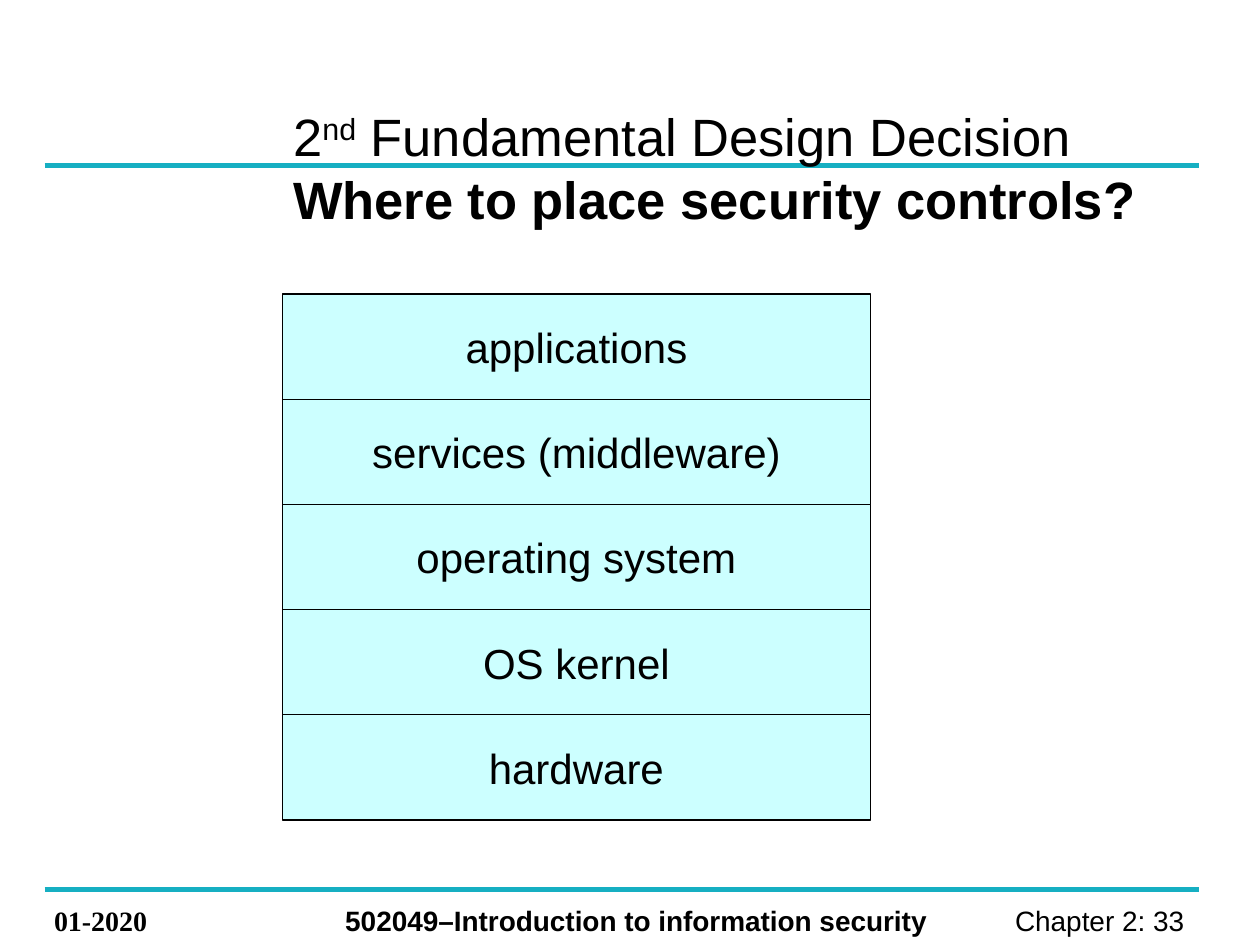
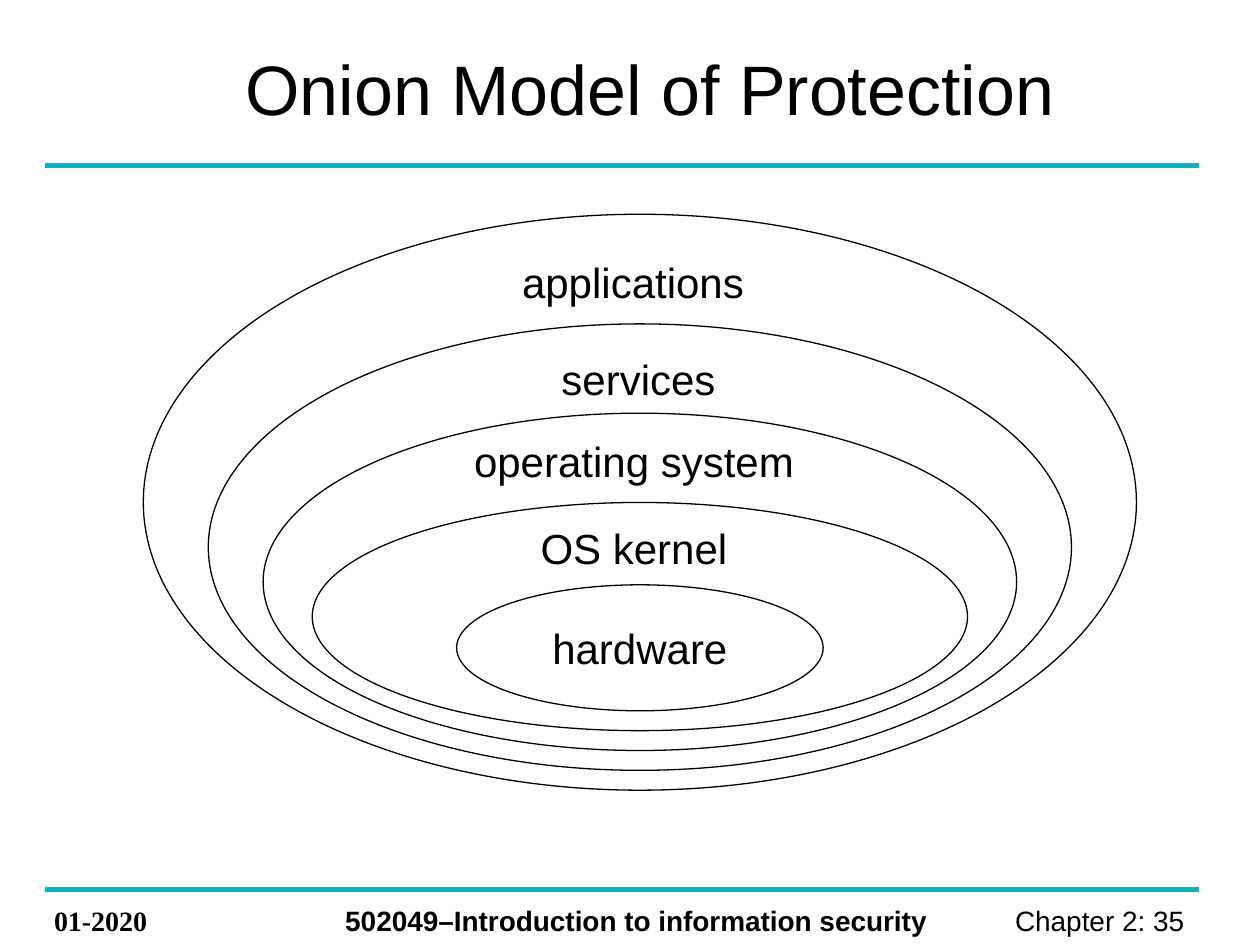
"""Build two slides on where security controls belong."""
from dataclasses import dataclass
from typing import Any

from lxml.etree import SubElement
from pptx import Presentation
from pptx.dml.color import RGBColor
from pptx.enum.shapes import MSO_CONNECTOR, MSO_SHAPE
from pptx.enum.text import MSO_ANCHOR, PP_ALIGN
from pptx.oxml.ns import qn
from pptx.util import Cm, Pt

BLACK = RGBColor(0x00, 0x00, 0x00)
TEAL = RGBColor(0x16, 0xAF, 0xC2)
AQUA = RGBColor(0xCC, 0xFF, 0xFF)

BASE = {"name": "Arial", "size": Pt(24), "bold": False}
FOOT = BASE | {"size": Pt(16)}
BOLD = FOOT | {"bold": True}
DATE = BOLD | {"name": "Times New Roman"}
HEAD = BASE | {"size": Pt(40)}
LEAD = BASE | {"size": Pt(30)}

LEFT, CENTER, RIGHT = PP_ALIGN.LEFT, PP_ALIGN.CENTER, PP_ALIGN.RIGHT
RULES = (3.33, 17.93)
MID = 12.9
BASIN = 15.93
STEP = 0.4


@dataclass(frozen=True)
class Box:
    """A place on the slide, in centimetres."""
    left: float
    top: float
    width: float
    height: float

    def spans(self) -> tuple[Cm, Cm, Cm, Cm]:
        """Return the place as lengths."""
        return Cm(self.left), Cm(self.top), Cm(self.width), Cm(self.height)


@dataclass(frozen=True)
class Ring:
    """An onion layer, with its label's centre and top in centimetres."""
    text: str
    width: float
    top: float
    label: tuple[float, float] | None = None


@dataclass(frozen=True)
class Note:
    """A line of footer text."""
    text: str
    box: Box
    style: dict[str, Any]
    align: PP_ALIGN = LEFT


FEET = (
    Note("01-2020", Box(0.84, 18.08, 3.38, 0.94), DATE),
    Note("502049–Introduction to information security",
         Box(6.71, 18.08, 12.8, 0.94), BOLD),
)
PAGE = Box(18.69, 18.08, 5.59, 0.94)
STACK = ("applications", "services (middleware)", "operating system",
         "OS kernel", "hardware")
BLOCK = Box(5.69, 5.93, 11.86, 2.12)
RINGS = (
    Ring("applications", 20.02, 4.32, (12.76, 5.05)),
    Ring("services", 17.4, 6.53, (12.87, 7.01)),
    Ring("operating system", 15.19, 8.33, (12.78, 8.66)),
    Ring("OS kernel", 13.21, 10.13, (12.78, 10.41)),
    Ring("hardware", 7.39, 11.79),
)


def add_run(para: Any, text: str, style: dict[str, Any]) -> Any:
    """Add a run with the given font values."""
    run = para.add_run()
    run.text = text
    for key, value in style.items():
        setattr(run.font, key, value)
    run.font.color.rgb = BLACK
    return run


def set_frame(frame: Any, align: PP_ALIGN, wrap: bool, anchor: MSO_ANCHOR) -> Any:
    """Set up a text frame and return its first paragraph."""
    for key, value in {"word_wrap": wrap, "vertical_anchor": anchor}.items():
        setattr(frame, key, value)
    para = frame.paragraphs[0]
    para.alignment = align
    return para


def add_text(shapes: Any, box: Box, align: PP_ALIGN = LEFT, wrap: bool = True,
             anchor: MSO_ANCHOR = MSO_ANCHOR.TOP) -> Any:
    """Add a text box and return its first paragraph."""
    frame = shapes.add_textbox(*box.spans()).text_frame
    return set_frame(frame, align, wrap, anchor)


def add_layer(shapes: Any, kind: MSO_SHAPE, box: Box, text: str = "",
              fill: RGBColor | None = None) -> None:
    """Add an outlined shape with centred text."""
    shape = shapes.add_shape(kind, *box.spans())
    shape.shadow.inherit = False
    shape.line.color.rgb = BLACK
    shape.line.width = Pt(0.75)
    if fill is None:
        shape.fill.background()
    else:
        shape.fill.solid()
        shape.fill.fore_color.rgb = fill
    if text:
        para = set_frame(shape.text_frame, CENTER, False, MSO_ANCHOR.MIDDLE)
        add_run(para, text, BASE)


def add_rule(shapes: Any, top: float) -> None:
    """Add a teal rule across the slide."""
    rule = shapes.add_connector(MSO_CONNECTOR.STRAIGHT,
                                Cm(0.9), Cm(top), Cm(24.18), Cm(top))
    rule.line.color.rgb = TEAL
    rule.line.width = Pt(3)
    SubElement(rule._element.spPr, qn("a:effectLst"))


def add_slide(deck: Any, page: int, box: Box) -> tuple[Any, Any]:
    """Add a framed slide and return its shapes and title paragraph."""
    shapes = deck.slides.add_slide(deck.slide_layouts[6]).shapes
    for top in RULES:
        add_rule(shapes, top)
    for note in (*FEET, Note(f"Chapter 2: {page} ", PAGE, FOOT, RIGHT)):
        add_run(add_text(shapes, note.box, note.align), note.text, note.style)
    return shapes, add_text(shapes, box, anchor=MSO_ANCHOR.MIDDLE)


def draw_stack(deck: Any) -> None:
    """Draw the layers as a stack of blocks."""
    shapes, title = add_slide(deck, 33, Box(5.66, 1.04, 18.21, 4.65))
    add_run(title, "2", LEAD)
    add_run(title, "nd", LEAD)._r.get_or_add_rPr().set("baseline", "30000")
    add_run(title, " Fundamental Design Decision", LEAD)
    title.add_line_break()
    add_run(title, "Where to place security controls?", LEAD | {"bold": True})
    group = shapes.add_group_shape().shapes
    for row, text in enumerate(STACK):
        top = BLOCK.top + row * BLOCK.height
        box = Box(BLOCK.left, top, BLOCK.width, BLOCK.height)
        add_layer(group, MSO_SHAPE.RECTANGLE, box, text, AQUA)


def draw_onion(deck: Any) -> None:
    """Draw the layers as nested rings."""
    shapes, title = add_slide(deck, 35, Box(4.7, 0.66, 20.29, 2.21))
    add_run(title, "Onion Model of Protection", HEAD)
    group = shapes.add_group_shape().shapes
    for depth, ring in enumerate(RINGS):
        height = BASIN - depth * STEP - ring.top
        box = Box(MID - ring.width / 2, ring.top, ring.width, height)
        add_layer(group, MSO_SHAPE.OVAL, box, "" if ring.label else ring.text)
        if ring.label:
            mid, top = ring.label
            para = add_text(group, Box(mid - 3.5, top, 7, 1.27), CENTER, False)
            add_run(para, ring.text, BASE)


def main() -> None:
    """Build and save the deck."""
    deck = Presentation()
    deck.slide_width, deck.slide_height = Cm(25.4), Cm(19.05)
    draw_stack(deck)
    draw_onion(deck)
    deck.save("out.pptx")


if __name__ == "__main__":
    main()
